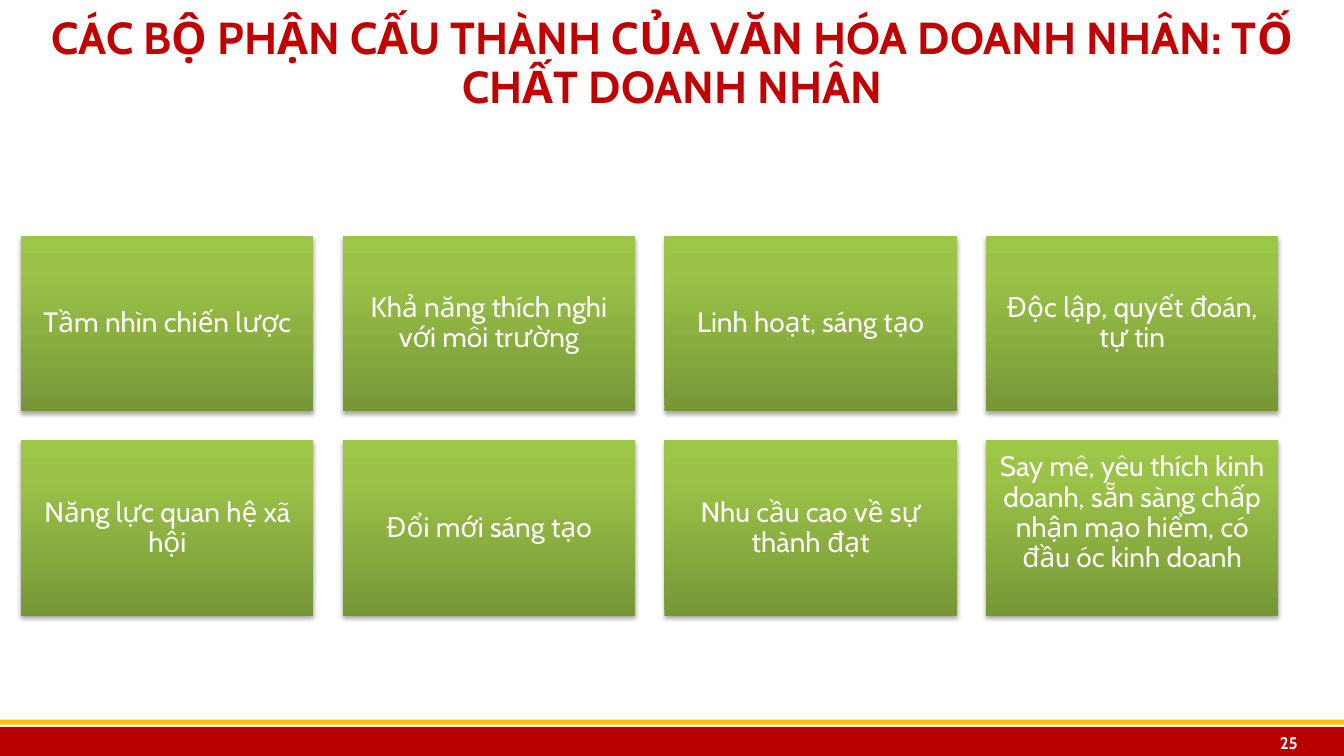
from lxml import etree
from pptx import Presentation
from pptx.dml.color import RGBColor
from pptx.enum.shapes import MSO_SHAPE
from pptx.enum.text import MSO_ANCHOR, PP_ALIGN
from pptx.oxml.ns import qn
from pptx.util import Inches, Pt

RECTANGLE = MSO_SHAPE.RECTANGLE
MIDDLE = MSO_ANCHOR.MIDDLE
CENTER, RIGHT = PP_ALIGN.CENTER, PP_ALIGN.RIGHT
WHITE = RGBColor(0xFF, 0xFF, 0xFF)
TITLE_RED = RGBColor(0xC0, 0x00, 0x00)
FOOTER_RED = RGBColor(0xB8, 0x00, 0x00)
GOLD = RGBColor(0xFF, 0xC0, 0x00)
BLACK = RGBColor(0x00, 0x00, 0x00)
GREEN_STOPS = (
    (0, RGBColor(0x77, 0x97, 0x37)),
    (80, RGBColor(0x9B, 0xC3, 0x48)),
    (100, RGBColor(0x9D, 0xC7, 0x46)),
)

TRAITS = (
    "Tầm nhìn chiến lược",
    "Khả năng thích nghi với môi trường",
    "Linh hoạt, sáng tạo",
    "Độc lập, quyết đoán, tự tin",
    "Năng lực quan hệ xã hội",
    "Đổi mới sáng tạo",
    "Nhu cầu cao về sự thành đạt",
    "Say mê, yêu thích kinh doanh, sẵn sàng chấp nhận mạo hiểm, có đầu óc kinh doanh",
)
COLUMNS = 4
CARD_LEFT, CARD_TOP = 0.21, 2.34
CARD_WIDTH, CARD_HEIGHT = 2.9, 1.74
GAP = 0.29
INSET = 0.08
LAST_CARD_BOTTOM_INSET = 0.38


class SlideBuilder:
    """Draws styled elements on the current slide."""

    font_name = "Cabin"

    def __init__(self, slide):
        self.slide = slide

    def set_text(self, shape, text, size, color, bold=False, align=CENTER,
                 spacing=0.9, insets=(0.1, 0.05, 0.1, 0.05)):
        frame = shape.text_frame
        frame.word_wrap = True
        frame.vertical_anchor = MIDDLE
        (frame.margin_left, frame.margin_top,
         frame.margin_right, frame.margin_bottom) = map(Inches, insets)
        frame.text = text
        paragraph = frame.paragraphs[0]
        paragraph.alignment = align
        paragraph.line_spacing = spacing
        font = paragraph.runs[0].font
        font.name = self.font_name
        font.size = Pt(size)
        font.bold = bold
        font.color.rgb = color

    def text_box(self, box, text, size, color, **style):
        shape = self.slide.shapes.add_textbox(*map(Inches, box))
        self.set_text(shape, text, size, color, **style)

    def rectangle(self, box):
        shape = self.slide.shapes.add_shape(RECTANGLE, *map(Inches, box))
        shape.shadow.inherit = False
        shape.line.fill.background()
        return shape

    def bar(self, box, color):
        shape = self.rectangle(box)
        shape.fill.solid()
        shape.fill.fore_color.rgb = color

    def card(self, box, text, bottom_inset):
        shape = self.rectangle(box)
        self.shade(shape)
        self.cast_shadow(shape)
        self.set_text(shape, text, 20, WHITE,
                      insets=(INSET, INSET, INSET, bottom_inset))

    def shade(self, shape):
        shape.fill.gradient()
        shape.fill.gradient_angle = 90
        stops = shape.element.spPr.find(".//" + qn("a:gsLst"))
        stops.clear()
        for position, color in GREEN_STOPS:
            stop = etree.SubElement(stops, qn("a:gs"), pos=str(position * 1000))
            etree.SubElement(stop, qn("a:srgbClr"), val=str(color))

    def cast_shadow(self, shape):
        effects = shape.element.spPr.find(qn("a:effectLst"))
        shadow = etree.SubElement(
            effects, qn("a:outerShdw"), blurRad=str(Pt(3.1)), dist=str(Pt(1.8)),
            dir="5400000", rotWithShape="0")
        color = etree.SubElement(shadow, qn("a:srgbClr"), val=str(BLACK))
        etree.SubElement(color, qn("a:alpha"), val="35000")


def main():
    presentation = Presentation()
    presentation.slide_width = Inches(13.33)
    presentation.slide_height = Inches(7.5)
    builder = SlideBuilder(presentation.slides.add_slide(presentation.slide_layouts[6]))

    builder.bar((0, 7.21, 13.33, 0.31), FOOTER_RED)
    builder.bar((-0.01, 7.14, 13.36, 0.05), GOLD)
    builder.text_box((0.37, 0.05, 12.6, 1.18),
                     "CÁC BỘ PHẬN CẤU THÀNH CỦA VĂN HÓA DOANH NHÂN: TỐ CHẤT DOANH NHÂN",
                     32, TITLE_RED, bold=True)
    builder.text_box((12.1, 7.21, 0.87, 0.31), "25", 12, WHITE, bold=True,
                     align=RIGHT, spacing=1.0, insets=(0.1, 0, 0.1, 0))

    for index, trait in enumerate(TRAITS):
        row, column = divmod(index, COLUMNS)
        left = CARD_LEFT + column * (CARD_WIDTH + GAP)
        top = CARD_TOP + row * (CARD_HEIGHT + GAP)
        is_last = index == len(TRAITS) - 1
        builder.card((left, top, CARD_WIDTH, CARD_HEIGHT), trait,
                     LAST_CARD_BOTTOM_INSET if is_last else INSET)

    presentation.save("out.pptx")


if __name__ == "__main__":
    main()
